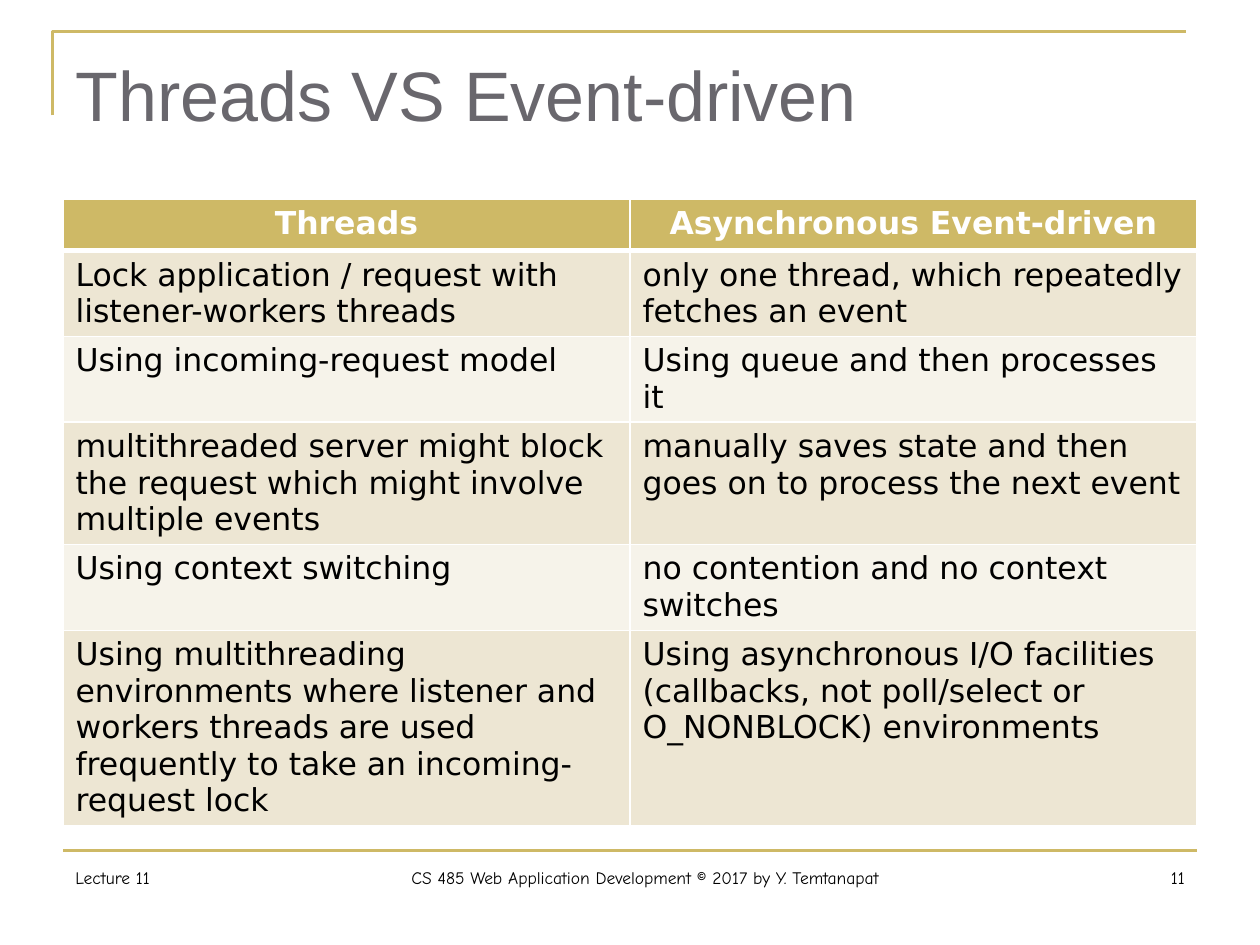
from lxml import etree
from pptx import Presentation
from pptx.dml.color import RGBColor
from pptx.enum.shapes import MSO_CONNECTOR
from pptx.enum.text import MSO_ANCHOR, PP_ALIGN
from pptx.oxml.ns import qn
from pptx.util import Pt

LEFT, CENTER, RIGHT = PP_ALIGN.LEFT, PP_ALIGN.CENTER, PP_ALIGN.RIGHT
TOP = MSO_ANCHOR.TOP
STRAIGHT = MSO_CONNECTOR.STRAIGHT

GOLD = RGBColor(0xCE, 0xB9, 0x66)
SAND = RGBColor(0xED, 0xE6, 0xD3)
CREAM = RGBColor(0xF6, 0xF3, 0xEA)
GRAY = RGBColor(0x69, 0x67, 0x6D)
BLACK = RGBColor(0x00, 0x00, 0x00)
WHITE = RGBColor(0xFF, 0xFF, 0xFF)

TITLE_FONT, TABLE_FONT, FOOTER_FONT = "Arial", "DejaVu Sans", "Comic Neue"
MARGIN, CONTENT_WIDTH = 36, 648

COMPARISON = [
    ("Threads", "Asynchronous Event-driven"),
    ("Lock application / request with listener-workers threads",
     "only one thread, which repeatedly fetches an event"),
    ("Using incoming-request model", "Using queue and then processes it"),
    ("multithreaded server might block the request which might involve multiple events",
     "manually saves state and then goes on to process the next event"),
    ("Using context switching", "no contention and no context switches"),
    ("Using multithreading environments where listener and workers threads are used "
     "frequently to take an incoming-request lock",
     "Using asynchronous I/O facilities (callbacks, not poll/select or O_NONBLOCK) "
     "environments"),
]


class SlideBuilder:
    def __init__(self, slide):
        self.slide = slide
        self.rule_color = GOLD
        self.rule_width = 1.5

    def style_text(self, frame, text, font, size, color, align=LEFT, bold=False):
        frame.text = text
        frame.word_wrap = True
        for para in frame.paragraphs:
            para.alignment = align
            for span in para.runs:
                span.font.name = font
                span.font.size = Pt(size)
                span.font.bold = bold
                span.font.color.rgb = color

    def title(self, text, left, top, width, height):
        box = self.slide.shapes.title
        box.left, box.top, box.width, box.height = map(Pt, (left, top, width, height))
        frame = box.text_frame
        self.style_text(frame, text, TITLE_FONT, 40, GRAY)
        frame.vertical_anchor = TOP
        frame.margin_top = Pt(8)

    def text(self, text, left, top, width, height, align):
        box = self.slide.shapes.add_textbox(*map(Pt, (left, top, width, height)))
        self.style_text(box.text_frame, text, FOOTER_FONT, 10, BLACK, align)

    def rule(self, x1, y1, x2, y2):
        line = self.slide.shapes.add_connector(STRAIGHT, *map(Pt, (x1, y1, x2, y2)))
        line.line.color.rgb = self.rule_color
        line.line.width = Pt(self.rule_width)
        etree.SubElement(line._element.spPr, qn("a:effectLst"))

    def bracket(self, points):
        start, *rest = [(Pt(x), Pt(y)) for x, y in points]
        outline = self.slide.shapes.build_freeform(*start)
        outline.add_line_segments(rest, close=False)
        shape = outline.convert_to_shape()
        shape.shadow.inherit = False
        shape.fill.background()
        shape.line.color.rgb = self.rule_color
        shape.line.width = Pt(self.rule_width)

    def cell_borders(self, cell, widths):
        properties = cell._tc.get_or_add_tcPr()
        for index, (side, width) in enumerate(widths.items()):
            border = etree.Element(qn(f"a:ln{side}"), w=str(Pt(width)))
            fill = etree.SubElement(border, qn("a:solidFill"))
            etree.SubElement(fill, qn("a:srgbClr"), val=str(WHITE))
            properties.insert(index, border)

    def table(self, rows, left, top, width, row_height):
        columns = len(rows[0])
        frame = self.slide.shapes.add_table(
            len(rows), columns, Pt(left), Pt(top), Pt(width), Pt(row_height * len(rows)))
        table = frame.table
        for column in table.columns:
            column.width = Pt(width / columns)
        for r, row in enumerate(rows):
            header = r == 0
            color = GOLD if header else SAND if r % 2 else CREAM
            for c, text in enumerate(row):
                cell = table.cell(r, c)
                self.style_text(cell.text_frame, text, TABLE_FONT, 18,
                                WHITE if header else BLACK,
                                CENTER if header else LEFT, header)
                cell.fill.solid()
                cell.fill.fore_color.rgb = color
                self.cell_borders(cell, {"L": 1, "R": 1, "T": 3 if r == 1 else 1,
                                         "B": 3 if header else 1})


def main():
    deck = Presentation()
    deck.slide_width, deck.slide_height = Pt(720), Pt(540)
    page = SlideBuilder(deck.slides.add_slide(deck.slide_layouts[5]))

    # Frame lines
    page.bracket([(30, 66), (30, 18), (678, 18)])
    page.rule(MARGIN, 486, MARGIN + CONTENT_WIDTH, 486)

    # Title and comparison
    page.title("Threads VS Event-driven", MARGIN, 21.6, CONTENT_WIDTH, 90)
    page.table(COMPARISON, MARGIN, 114, CONTENT_WIDTH, 29.2)

    # Footer, set side by side
    left = MARGIN
    for text, width, align in [
        ("Lecture 11", 116, LEFT),
        ("CS 485 Web Application Development © 2017 by Y. Temtanapat", 433, CENTER),
        ("11", 99, RIGHT),
    ]:
        page.text(text, left, 492, width, 36, align)
        left += width

    deck.save("out.pptx")


if __name__ == "__main__":
    main()
